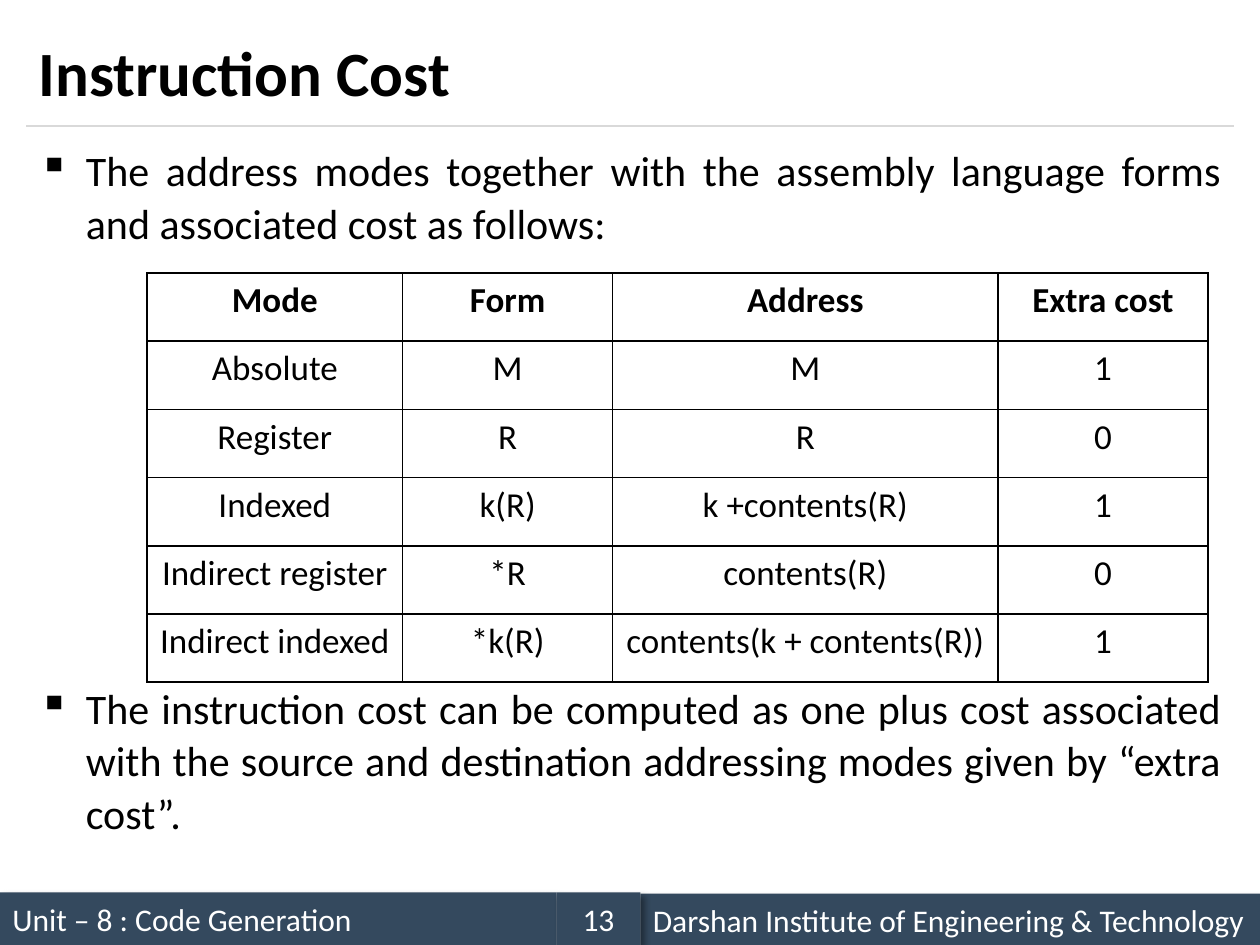
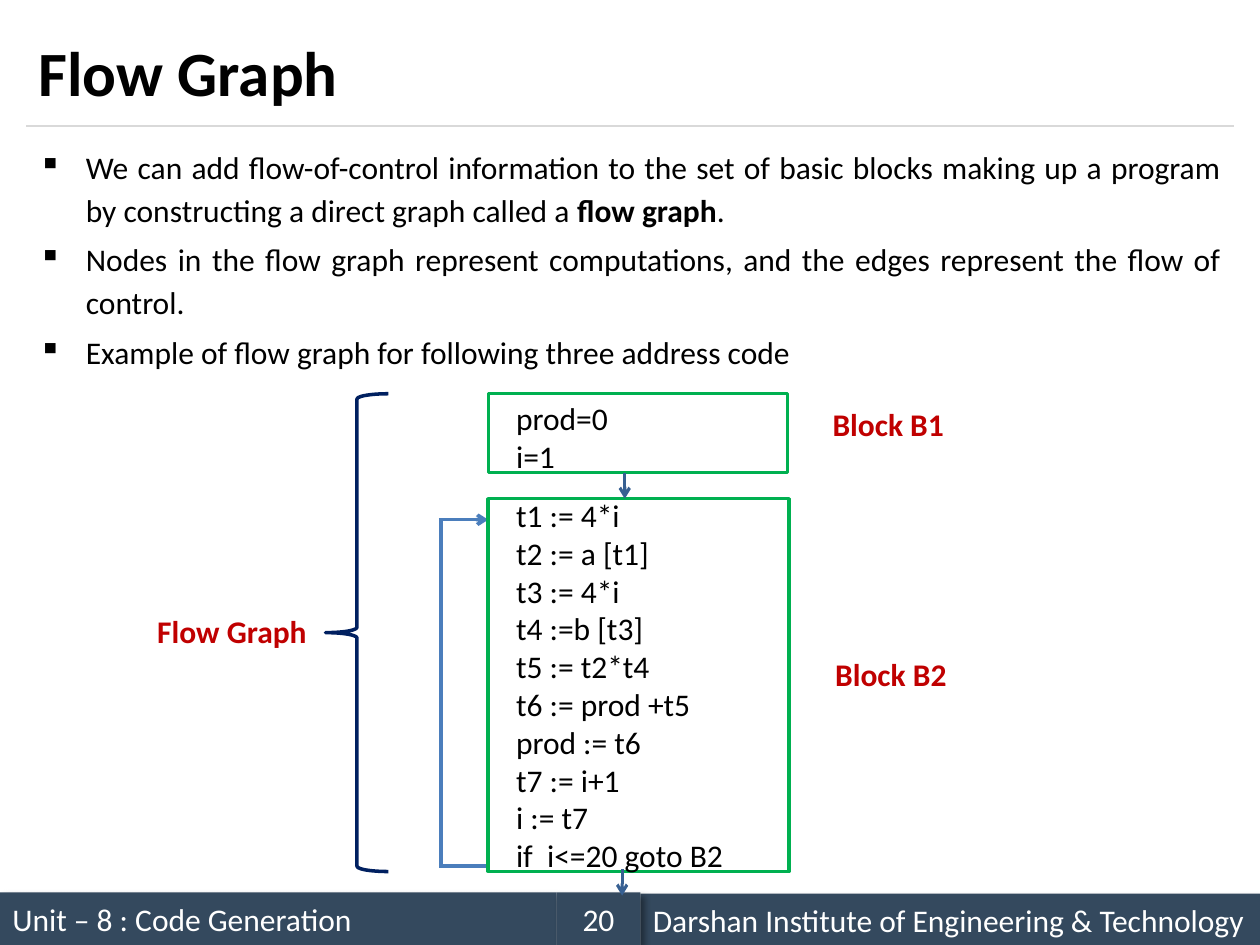
"""Build two lecture slides on instruction cost and flow graphs."""
from lxml import etree
from pptx import Presentation
from pptx import util as u
from pptx.dml.color import RGBColor
from pptx.enum import shapes, text
from pptx.oxml.ns import qn

COLORS = {
    "ink": "000000", "paper": "FFFFFF", "band": "34495E", "rule": "D9D9D9",
    "block": "00B050", "label": "C00000", "loop": "4B7EBC",
    "flow": "376092", "brace": "002060",
}
FONT = "Calibri"
COLUMNS, ROWS = 240, 180
LEFT, CENTER, JUSTIFY = text.PP_ALIGN.LEFT, text.PP_ALIGN.CENTER, text.PP_ALIGN.JUSTIFY
TOP, MIDDLE = text.MSO_ANCHOR.TOP, text.MSO_ANCHOR.MIDDLE


def color(name):
    return RGBColor.from_string(COLORS[name])


def add_child(parent, tag, **attributes):
    return etree.SubElement(parent, qn(tag), attributes)


def write(frame, paragraphs, size=18, ink="ink", bold=False, align=LEFT,
          spacing=1.0, before=0, bullet=None):
    """Fill a frame; a paragraph is a string or a list of (string, bold) spans."""
    for index, content in enumerate(paragraphs):
        para = frame.add_paragraph() if index else frame.paragraphs[0]
        para.alignment = align
        para.line_spacing = spacing
        if index:
            para.space_before = u.Pt(before)
        if bullet:
            properties = para._p.get_or_add_pPr()
            indent = u.Inches(0.375)
            properties.set("marL", str(indent))
            properties.set("indent", str(-indent))
            add_child(properties, "a:buChar", char=bullet)
        spans = [(content, bold)] if isinstance(content, str) else content
        for words, heavy in spans:
            span = para.add_run()
            span.text = words
            span.font.name = FONT
            span.font.size = u.Pt(size)
            span.font.bold = heavy
            span.font.color.rgb = color(ink)


class Lecture:
    """Holds the deck, its grid and the current slide."""

    def __init__(self):
        self.deck = Presentation()
        self.deck.slide_width, self.deck.slide_height = u.Inches(10), u.Inches(7.5)
        self.page = None

    def x(self, columns):
        return round(self.deck.slide_width * columns / COLUMNS)

    def y(self, rows):
        return round(self.deck.slide_height * rows / ROWS)

    def area(self, left, top, width, height):
        return self.x(left), self.y(top), self.x(width), self.y(height)

    def start(self, title, number):
        self.page = self.deck.slides.add_slide(self.deck.slide_layouts[6])
        self.band((0, 170, 106, 10), "Unit – 8 : Code Generation")
        self.line((5, 24), (235, 24), "rule", 0.75)
        self.band((122, 170.2, 118, 10), "Darshan Institute of Engineering & Technology")
        self.band((106, 170, 16, 10), number, align=CENTER)
        self.text((5, 3, 230, 21), [title], anchor=MIDDLE, size=36, bold=True)

    def text(self, place, paragraphs, anchor=TOP, **style):
        box = self.page.shapes.add_textbox(*self.area(*place))
        box.text_frame.word_wrap = True
        box.text_frame.vertical_anchor = anchor
        write(box.text_frame, paragraphs, **style)

    def body(self, paragraphs, **style):
        self.text((5, 26, 230, 140), paragraphs, align=JUSTIFY, bullet="▪", **style)

    def label(self, left, top, words):
        self.text((left, top, 38.4, 8), [words], anchor=MIDDLE,
                  ink="label", bold=True, align=CENTER)

    def shape(self, kind, place, fill=None, outline=None):
        shape = self.page.shapes.add_shape(kind, *self.area(*place))
        if fill:
            shape.fill.solid()
            shape.fill.fore_color.rgb = color(fill)
        else:
            shape.fill.background()
        if outline:
            shape.line.color.rgb = color(outline)
            shape.line.width = u.Pt(2)
        else:
            shape.line.fill.background()
        shape.shadow.inherit = False
        return shape

    def band(self, place, words, align=LEFT):
        band = self.shape(shapes.MSO_SHAPE.RECTANGLE, place, fill="band")
        effects = band._element.spPr.find(qn("a:effectLst"))
        shadow = add_child(effects, "a:outerShdw", blurRad=str(u.Pt(4)), dist=str(u.Pt(3)),
                           dir="2700000", algn="tl", rotWithShape="0")
        tint = add_child(shadow, "a:srgbClr", val=COLORS["ink"])
        add_child(tint, "a:alpha", val="40000")
        band.text_frame.word_wrap = True
        band.text_frame.vertical_anchor = MIDDLE
        write(band.text_frame, [words], ink="paper", align=align)

    def code(self, place, lines, drop=0):
        block = self.shape(shapes.MSO_SHAPE.RECTANGLE, place, outline="block")
        frame = block.text_frame
        frame.word_wrap = True
        frame.vertical_anchor = MIDDLE
        frame.margin_left = self.x(5.3)
        frame.margin_right = frame.margin_bottom = 0
        frame.margin_top = self.y(drop)
        write(frame, lines)

    def line(self, start, end, ink, width, arrow=False):
        line = self.page.shapes.add_connector(
            shapes.MSO_CONNECTOR.STRAIGHT,
            self.x(start[0]), self.y(start[1]), self.x(end[0]), self.y(end[1]))
        line.line.color.rgb = color(ink)
        line.line.width = u.Pt(width)
        if arrow:
            add_child(line.line._get_or_add_ln(), "a:tailEnd", type="arrow")
        add_child(line._element.spPr, "a:effectLst")

    def table(self, place, widths, rows):
        table = self.page.shapes.add_table(len(rows), len(widths), *self.area(*place)).table
        table.first_row = table.horz_banding = False
        for column, width in zip(table.columns, widths):
            column.width = self.x(width)
        for r, row in enumerate(rows):
            for c, words in enumerate(row):
                self.cell(table.cell(r, c), words, bold=r == 0)

    def cell(self, cell, words, bold):
        cell.margin_left = cell.margin_right = u.Inches(0.07)
        cell.margin_top = cell.margin_bottom = 0
        properties = cell._tc.get_or_add_tcPr()
        for side in ("a:lnL", "a:lnR", "a:lnT", "a:lnB"):
            border = add_child(properties, side, w=str(u.Pt(1)))
            fill = add_child(border, "a:solidFill")
            add_child(fill, "a:srgbClr", val=COLORS["ink"])
        cell.fill.background()
        write(cell.text_frame, [words], size=20, bold=bold, align=CENTER, spacing=1.15)


def instruction_cost(lecture):
    lecture.start("Instruction Cost", "13")
    lecture.body([
        "The address modes together with the assembly language forms and associated "
        "cost as follows:",
        "The instruction cost can be computed as one plus cost associated with the source "
        "and destination addressing modes given by “extra cost”.",
    ], size=24, spacing=1.04, before=247.5)
    lecture.table((28, 52, 202, 78), (48.7, 40, 73.4, 40), [
        ("Mode", "Form", "Address", "Extra cost"),
        ("Absolute", "M", "M", "1"),
        ("Register", "R", "R", "0"),
        ("Indexed", "k(R)", "k +contents(R)", "1"),
        ("Indirect register", "*R", "contents(R)", "0"),
        ("Indirect indexed", "*k(R)", "contents(k + contents(R))", "1"),
    ])


def flow_graph(lecture):
    lecture.start("Flow Graph", "20")
    lecture.body([
        [("We can add flow-of-control information to the set of basic blocks making up a "
          "program by constructing a direct graph called a ", False),
         ("flow graph", True), (".", False)],
        "Nodes in the flow graph represent computations, and the edges represent the "
        "flow of control.",
        "Example of flow graph for following three address code",
    ], spacing=1.14, before=3.6)

    left, loop, top, bottom = 93, 84, 99, 165
    lecture.line((left, bottom), (loop - 0.4, bottom), "loop", 2)
    lecture.line((loop - 0.4, top), (left, top), "loop", 2, arrow=True)
    lecture.line((loop, top), (loop, bottom), "loop", 2)

    lecture.code((left, 75, 57, 15), ["prod=0", "i=1"], drop=1.5)
    lecture.code((left, 95, 57.3, 71), [
        "t1 := 4*i", "t2 := a [t1]", "t3 := 4*i", "t4 :=b [t3]", "t5 := t2*t4",
        "t6 := prod +t5", "prod := t6", "t7 := i+1", "i := t7", "if  i<=20 goto B2",
    ])
    for column, row in ((119, 90), (118.5, 165.6)):
        lecture.line((column, row), (column, row + 5), "flow", 1.75, arrow=True)

    lecture.shape(shapes.MSO_SHAPE.LEFT_BRACE, (62, 75, 12, 91), outline="brace")
    lecture.label(150, 76.8, "Block B1")
    lecture.label(150.5, 124.3, "Block B2")
    lecture.label(25, 116.2, "Flow Graph")


def main():
    lecture = Lecture()
    instruction_cost(lecture)
    flow_graph(lecture)
    lecture.deck.save("out.pptx")


if __name__ == "__main__":
    main()
